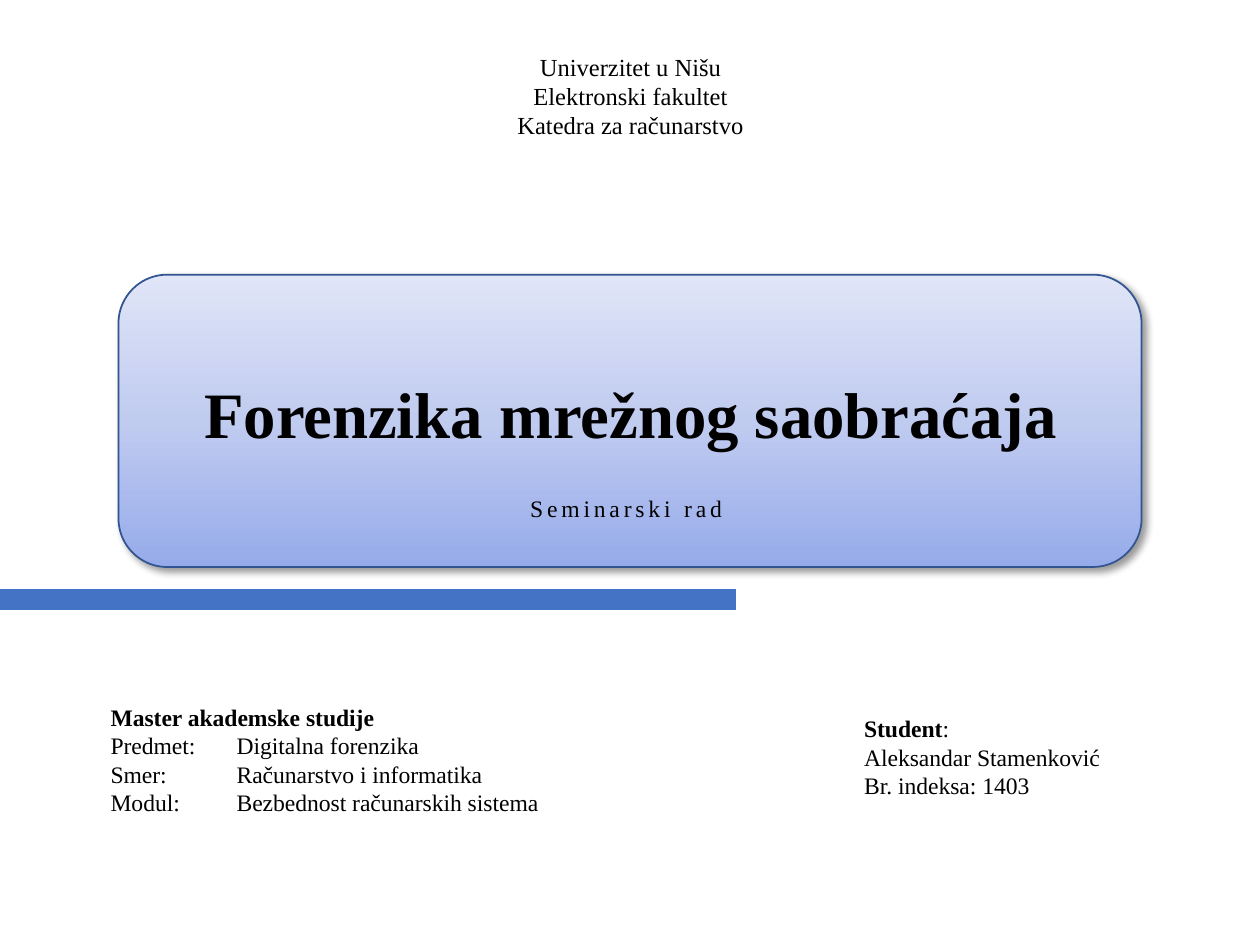
from dataclasses import dataclass

from pptx import Presentation
from pptx.dml.color import RGBColor
from pptx.enum.shapes import MSO_CONNECTOR, MSO_SHAPE
from pptx.enum.text import MSO_ANCHOR, MSO_AUTO_SIZE, PP_ALIGN
from pptx.oxml import parse_xml
from pptx.oxml.ns import nsdecls
from pptx.util import Inches, Pt

LEFT, MID = PP_ALIGN.LEFT, PP_ALIGN.CENTER
TOP, LOW = MSO_ANCHOR.TOP, MSO_ANCHOR.BOTTOM
GROW, FIXED = MSO_AUTO_SIZE.SHAPE_TO_FIT_TEXT, MSO_AUTO_SIZE.NONE
ROUND, STRAIGHT = MSO_SHAPE.ROUNDED_RECTANGLE, MSO_CONNECTOR.STRAIGHT

FONT = "Times New Roman"
BLACK = RGBColor(0x00, 0x00, 0x00)
BLUE = RGBColor(0x44, 0x72, 0xC4)
NAVY = RGBColor(0x32, 0x54, 0x91)
DARK = RGBColor(0x96, 0xAB, 0xEA)
SOFT = RGBColor(0xC0, 0xCB, 0xF0)
PALE = RGBColor(0xE0, 0xE5, 0xF7)


@dataclass
class Run:
    text: str
    bold: bool = False


@dataclass
class Block:
    area: tuple[float, float, float, float]
    lines: list[list[Run]]
    size: float = 13.5
    align: PP_ALIGN = LEFT
    wrap: bool = False
    anchor: MSO_ANCHOR = TOP
    fit: MSO_AUTO_SIZE = GROW
    lead: float = 1.0
    space: float = 0
    tabs: tuple[float, ...] = ()


BLOCKS = [
    Block((1.14, 2.87, 7.73, 0.77), [[Run("Forenzika mrežnog saobraćaja", True)]],
          size=37, align=MID, wrap=True, anchor=LOW, fit=FIXED, lead=0.9),
    Block((6.76, 5.62, 2.1, 0.78), [
        [Run("Student", True), Run(":")],
        [Run("Aleksandar Stamenković")],
        [Run("Br. indeksa: 1403")],
    ]),
    Block((4.11, 3.87, 1.78, 0.33), [[Run("Seminarski rad")]], space=2.2),
    Block((3.85, 0.36, 2.31, 0.81), [
        [Run("Univerzitet u Nišu")],
        [Run("Elektronski fakultet")],
        [Run("Katedra za računarstvo")],
    ], size=14, align=MID, wrap=True),
    Block((0.78, 5.53, 3.64, 1.01), [
        [Run("Master akademske studije", True)],
        [Run("Predmet:\tDigitalna forenzika")],
        [Run("Smer:\t\tRačunarstvo i informatika")],
        [Run("Modul:\tBezbednost računarskih sistema")],
    ], tabs=(0.5, 1.0)),
]


def add_text(slide, block: Block) -> None:
    frame = slide.shapes.add_textbox(*map(Inches, block.area)).text_frame
    frame.word_wrap = block.wrap
    frame.auto_size = block.fit
    frame.vertical_anchor = block.anchor
    for num, line in enumerate(block.lines):
        para = frame.add_paragraph() if num else frame.paragraphs[0]
        para.alignment = block.align
        para.line_spacing = block.lead
        if block.tabs:
            stops = "".join(f'<a:tab pos="{Inches(pos)}" algn="l"/>' for pos in block.tabs)
            para._p.get_or_add_pPr().append(
                parse_xml(f'<a:tabLst {nsdecls("a")}>{stops}</a:tabLst>'))
        for item in line:
            run = para.add_run()
            run.text = item.text
            run.font.name = FONT
            run.font.size = Pt(block.size)
            run.font.bold = item.bold
            run.font.color.rgb = BLACK
            if block.space:
                run._r.get_or_add_rPr().set("spc", str(round(block.space * 100)))


def add_panel(slide) -> None:
    panel = slide.shapes.add_shape(ROUND, *map(Inches, (0.94, 2.18, 8.12, 2.32)))
    panel.line.color.rgb = NAVY
    panel.line.width = Pt(1)
    stops = "".join(
        f'<a:gs pos="{pos * 1000}"><a:srgbClr val="{tone}"/></a:gs>'
        for pos, tone in ((0, DARK), (50, SOFT), (100, PALE)))
    props = panel._element.spPr
    props.insert(2, parse_xml(
        f'<a:gradFill {nsdecls("a")} rotWithShape="1"><a:gsLst>{stops}</a:gsLst>'
        '<a:lin ang="16200000" scaled="0"/></a:gradFill>'))
    props.append(parse_xml(
        f'<a:effectLst {nsdecls("a")}><a:outerShdw blurRad="{Pt(4)}" dist="{Pt(3)}" '
        f'dir="2700000" algn="tl" rotWithShape="0"><a:srgbClr val="{BLACK}">'
        '<a:alpha val="40000"/></a:srgbClr></a:outerShdw></a:effectLst>'))


def add_bar(slide) -> None:
    bar = slide.shapes.add_connector(STRAIGHT, *map(Inches, (0, 4.76, 5.84, 4.76)))
    bar.line.color.rgb = BLUE
    bar.line.width = Pt(12)
    bar._element.spPr.append(parse_xml(f'<a:effectLst {nsdecls("a")}/>'))


def main() -> None:
    deck = Presentation()
    deck.slide_width, deck.slide_height = Inches(10), Inches(7.5)
    slide = deck.slides.add_slide(deck.slide_layouts[6])
    add_panel(slide)
    add_bar(slide)
    for block in BLOCKS:
        add_text(slide, block)
    deck.save("out.pptx")


if __name__ == "__main__":
    main()
